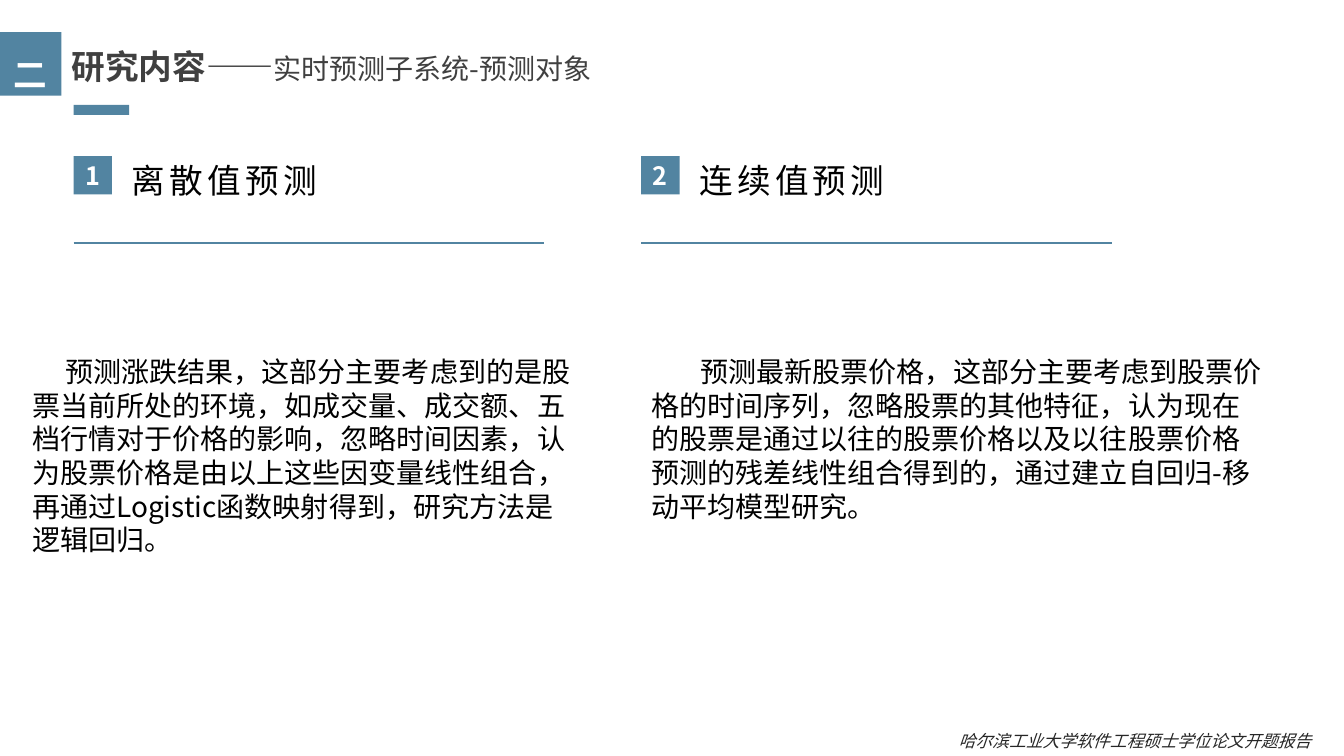
from pptx import Presentation
from pptx import util as u
from pptx.dml.color import RGBColor
from pptx.enum import shapes, text
from lxml import etree

NS = "http://schemas.openxmlformats.org/drawingml/2006/main"
BLUE, GREY, SANS = "5284A1", "404040", "Noto Sans CJK SC"


def tint(hue):
    return RGBColor.from_string(hue)


def style(run, size, hue, face=SANS, bold=False, italic=False, gap=0):
    font = run.font
    font.size, font.name = u.Pt(size), face
    font.bold, font.italic = bold, italic
    font.color.rgb = tint(hue)
    props = run._r.get_or_add_rPr()
    if face != "Calibri":
        etree.SubElement(props, f"{{{NS}}}ea", typeface=face)
    if gap:
        props.set("spc", str(gap * 100))


def place(box):
    return [u.Inches(side) for side in box]


def label(slide, box, words, size, hue, wrap=True, lead=None, **looks):
    frame = slide.shapes.add_textbox(*place(box)).text_frame
    frame.word_wrap = wrap
    para = frame.paragraphs[0]
    para.text = words
    para.line_spacing = lead
    style(para.runs[0], size, hue, **looks)
    return para


def block(slide, box, words="", size=18, face=SANS, lead=None):
    shape = slide.shapes.add_shape(shapes.MSO_SHAPE.RECTANGLE, *place(box))
    shape.shadow.inherit = False
    shape.fill.solid()
    shape.fill.fore_color.rgb = tint(BLUE)
    shape.line.fill.background()
    if words:
        frame = shape.text_frame
        frame.vertical_anchor = text.MSO_ANCHOR.MIDDLE
        para = frame.paragraphs[0]
        para.text = words
        para.alignment = text.PP_ALIGN.CENTER
        para.line_spacing = lead
        style(para.runs[0], size, "FFFFFF", face, bold=True)


def header(slide, box):
    left, top, width, height = box
    block(slide, (left, top, 0.61, height), "二", 24, "Noto Sans CJK JP", 1.5)
    title = slide.shapes.title
    title.left, title.top, title.width, title.height = place(
        (left + 0.61, top + 0.09, width - 0.61, 0.5))
    frame = title.text_frame
    frame.auto_size = text.MSO_AUTO_SIZE.NONE
    frame.vertical_anchor = text.MSO_ANCHOR.TOP
    para = frame.paragraphs[0]
    para.alignment = text.PP_ALIGN.LEFT
    for words, size, bold in (("研究内容", 24, True), ("——", 24, False),
                              ("实时预测子系统-预测对象", 20, False)):
        run = para.add_run()
        run.text = words
        style(run, size, GREY, bold=bold)
    block(slide, (left + 0.73, top + 0.72, 0.55, 0.1))


def topic(slide, box, mark, name):
    left, top, width, height = box
    block(slide, (left, top + 0.21, 0.38, 0.38), mark)
    label(slide, (left + 0.48, top, 2.87, 0.61), name, 24, "000000",
          lead=1.5, gap=3)
    base = top + height
    rule = slide.shapes.add_connector(
        shapes.MSO_CONNECTOR.STRAIGHT, *place((left, base, left + width, base)))
    rule.line.color.rgb = tint(BLUE)
    rule.line.width = u.Pt(1.5)
    etree.SubElement(rule._element.spPr, f"{{{NS}}}effectLst")


def detail(slide, box, words, dent):
    para = label(slide, box, words, 20, "000000")
    para._p.get_or_add_pPr().set("indent", str(u.Inches(dent)))


def main():
    deck = Presentation()
    deck.slide_width, deck.slide_height = u.Inches(13.33), u.Inches(7.5)
    slide = deck.slides.add_slide(deck.slide_layouts[5])
    header(slide, (0, 0.32, 6.37, 0.63))
    for left, mark, name in ((0.73, "1", "离散值预测"), (6.36, "2", "连续值预测")):
        topic(slide, (left, 1.34, 4.67, 1.07), mark, name)
    detail(slide, (0.22, 3.47, 5.54, 2.19),
           "预测涨跌结果，这部分主要考虑到的是股票当前所处的环境，如成交量、成交额、"
           "五档行情对于价格的影响，忽略时间因素，认为股票价格是由以上这些因变量线性组合，"
           "再通过Logistic函数映射得到，研究方法是逻辑回归。", 0.33)
    detail(slide, (6.36, 3.47, 6.31, 1.78),
           "预测最新股票价格，这部分主要考虑到股票价格的时间序列，忽略股票的其他特征，"
           "认为现在的股票是通过以往的股票价格以及以往股票价格预测的残差线性组合得到的，"
           "通过建立自回归-移动平均模型研究。", 0.49)
    label(slide, (9.41, 7.2, 3.92, 0.3), "哈尔滨工业大学软件工程硕士学位论文开题报告",
          12, "262626", wrap=False, face="Calibri", italic=True)
    deck.save("out.pptx")


if __name__ == "__main__":
    main()
